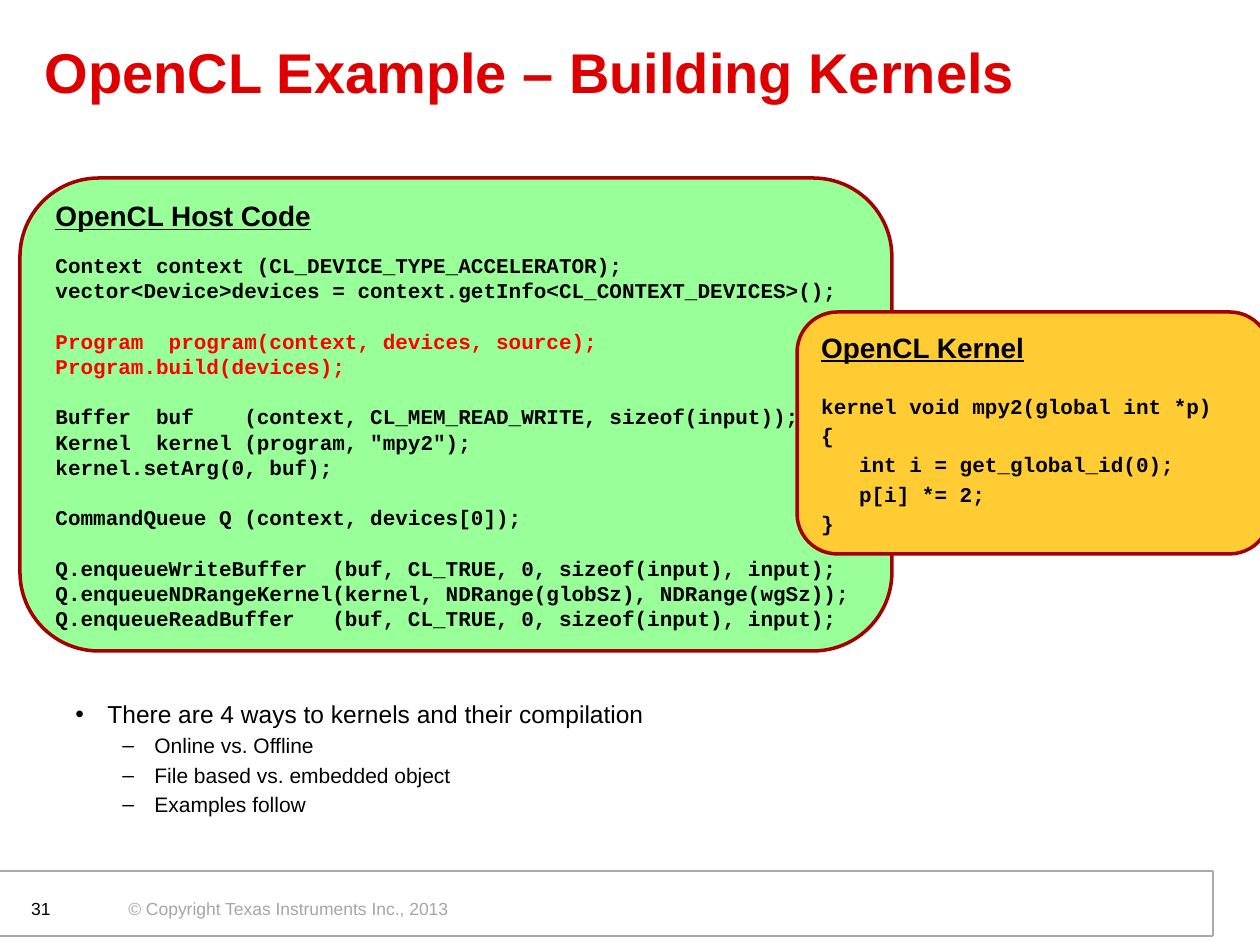
from lxml.etree import SubElement
from pptx import Presentation
from pptx.dml.color import RGBColor
from pptx.enum.shapes import MSO_CONNECTOR, MSO_SHAPE
from pptx.enum.text import MSO_ANCHOR, MSO_AUTO_SIZE, PP_ALIGN
from pptx.oxml.ns import qn
from pptx.util import Emu, Pt

PX_PER_INCH = 126
COLORS = {
    "title": "DE0000", "text": "000000", "highlight": "FF0000",
    "host": "99FF99", "kernel": "FFCC33", "border": "A40000",
    "rule": "AAAAAA", "copyright": "A6A6A6", "white": "FFFFFF",
}

# Each group of code lines is separated by a gap
HOST_CODE = [
    ["Context context (CL_DEVICE_TYPE_ACCELERATOR);",
     "vector<Device>devices = context.getInfo<CL_CONTEXT_DEVICES>();"],
    ["Program  program(context, devices, source);",
     "Program.build(devices);"],
    ["Buffer  buf    (context, CL_MEM_READ_WRITE, sizeof(input));",
     "Kernel  kernel (program, \"mpy2\");",
     "kernel.setArg(0, buf);"],
    ["CommandQueue Q (context, devices[0]);"],
    ["Q.enqueueWriteBuffer  (buf, CL_TRUE, 0, sizeof(input), input);",
     "Q.enqueueNDRangeKernel(kernel, NDRange(globSz), NDRange(wgSz));",
     "Q.enqueueReadBuffer   (buf, CL_TRUE, 0, sizeof(input), input);"],
]
KERNEL_CODE = [
    ["kernel void mpy2(global int *p)",
     "{",
     "   int i = get_global_id(0);",
     "   p[i] *= 2;",
     "}"],
]
BULLETS = [
    (0, "There are 4 ways to kernels and their compilation"),
    (1, "Online vs. Offline"),
    (1, "File based vs. embedded object"),
    (1, "Examples follow"),
]
# Per level: character, left margin px, hanging px, size pt, space before pt
BULLET_STYLES = [("•", 32, 32, 14, 8), ("–", 79, 32, 12, 2.4)]


def px(value):
    return Emu(round(value * 914400 / PX_PER_INCH))


def color(name):
    return RGBColor.from_string(COLORS[name])


def style_font(paragraph, size, color_name="text", name="Arial", bold=False, underline=False):
    for run in paragraph.runs:
        run.font.name = name
        run.font.size = Pt(size)
        run.font.bold = bold
        run.font.underline = underline
        run.font.color.rgb = color(color_name)


def next_paragraph(text_frame, index):
    return text_frame.paragraphs[0] if index == 0 else text_frame.add_paragraph()


def add_box(slide, preset, box, fill, line=None):
    shape = slide.shapes.add_shape(preset, *map(px, box))
    shape.shadow.inherit = False
    shape.fill.solid()
    shape.fill.fore_color.rgb = color(fill)
    if line:
        shape.line.color.rgb = color(line)
        shape.line.width = Pt(2)
    else:
        shape.line.fill.background()
    return shape


def add_text(slide, box, text, size, color_name, align=PP_ALIGN.LEFT, wrap=True):
    text_frame = slide.shapes.add_textbox(*map(px, box)).text_frame
    text_frame.word_wrap = wrap
    text_frame.text = text
    paragraph = text_frame.paragraphs[0]
    paragraph.alignment = align
    style_font(paragraph, size, color_name)


def add_rule(slide, start, end):
    rule = slide.shapes.add_connector(MSO_CONNECTOR.STRAIGHT, *map(px, start + end))
    rule.line.color.rgb = color("rule")
    rule.line.width = Pt(0.75)
    SubElement(rule._element.spPr, qn("a:effectLst"))


def add_footer(slide, box):
    left, top, width, height = box
    right, bottom = left + width, top + height
    add_box(slide, MSO_SHAPE.RECTANGLE, (left + 7, top + 1, width - 9, height - 2), "white")
    # Frame, open on the left
    add_rule(slide, (left, bottom), (right, bottom))
    add_rule(slide, (left, top), (right, top))
    add_rule(slide, (right, bottom), (right, top))
    # Copyright line and page number
    add_text(slide, (left + 117, top + 21, 350, 34),
             "© Copyright Texas Instruments Inc., 2013", 10, "copyright", wrap=False)
    add_text(slide, (left + 11, top + 21, 53, 29), "31", 10, "text", PP_ALIGN.RIGHT)


def add_title(slide, box):
    title = slide.shapes.title
    title.left, title.top, title.width, title.height = map(px, box)
    text_frame = title.text_frame
    text_frame.text = "OpenCL Example – Building Kernels"
    text_frame.auto_size = MSO_AUTO_SIZE.NONE
    text_frame.vertical_anchor = MSO_ANCHOR.MIDDLE
    paragraph = text_frame.paragraphs[0]
    paragraph.alignment = PP_ALIGN.LEFT
    paragraph.line_spacing = 0.85
    style_font(paragraph, 32, "title", bold=True)


def add_code_panel(slide, box, fill, heading, groups, heading_gap, group_gap=0,
                   line_gap=0, highlighted=None):
    shape = add_box(slide, MSO_SHAPE.ROUNDED_RECTANGLE, box, fill, "border")
    text_frame = shape.text_frame
    text_frame.word_wrap = True
    text_frame.vertical_anchor = MSO_ANCHOR.MIDDLE
    # Heading
    text_frame.text = heading
    paragraph = text_frame.paragraphs[0]
    paragraph.alignment = PP_ALIGN.LEFT
    style_font(paragraph, 16, bold=True, underline=True)
    # Code
    for group_index, lines in enumerate(groups):
        color_name = "highlight" if group_index == highlighted else "text"
        first_gap = group_gap if group_index else heading_gap
        for line_index, line in enumerate(lines):
            paragraph = text_frame.add_paragraph()
            paragraph.text = line
            paragraph.alignment = PP_ALIGN.LEFT
            paragraph.space_before = Pt(line_gap if line_index else first_gap)
            style_font(paragraph, 12, color_name, "Courier New", bold=True)


def add_bullets(slide, box):
    text_frame = slide.shapes.add_textbox(*map(px, box)).text_frame
    text_frame.word_wrap = True
    for index, (level, text) in enumerate(BULLETS):
        character, margin, hanging, size, gap = BULLET_STYLES[level]
        paragraph = next_paragraph(text_frame, index)
        paragraph.text = text
        paragraph.level = level
        if index:
            paragraph.space_before = Pt(gap)
        properties = paragraph._p.get_or_add_pPr()
        properties.set("marL", str(px(margin)))
        properties.set("indent", str(-px(hanging)))
        SubElement(properties, qn("a:buFont"), typeface="Arial")
        SubElement(properties, qn("a:buChar"), char=character)
        style_font(paragraph, size)


def main():
    presentation = Presentation()
    presentation.slide_width = px(1260)
    presentation.slide_height = px(945)
    slide = presentation.slides.add_slide(presentation.slide_layouts[5])

    add_footer(slide, (-1, 871, 1214, 65))
    add_title(slide, (32, 20, 1166, 112))
    add_code_panel(slide, (20, 178, 872, 473), "host", "OpenCL Host Code", HOST_CODE,
                   heading_gap=12, group_gap=14.4, highlighted=1)
    add_code_panel(slide, (797, 312, 473, 242), "kernel", "OpenCL Kernel", KERNEL_CODE,
                   heading_gap=16.8, line_gap=2.4)
    add_bullets(slide, (63, 693, 1040, 147))
    presentation.save("out.pptx")


if __name__ == "__main__":
    main()
